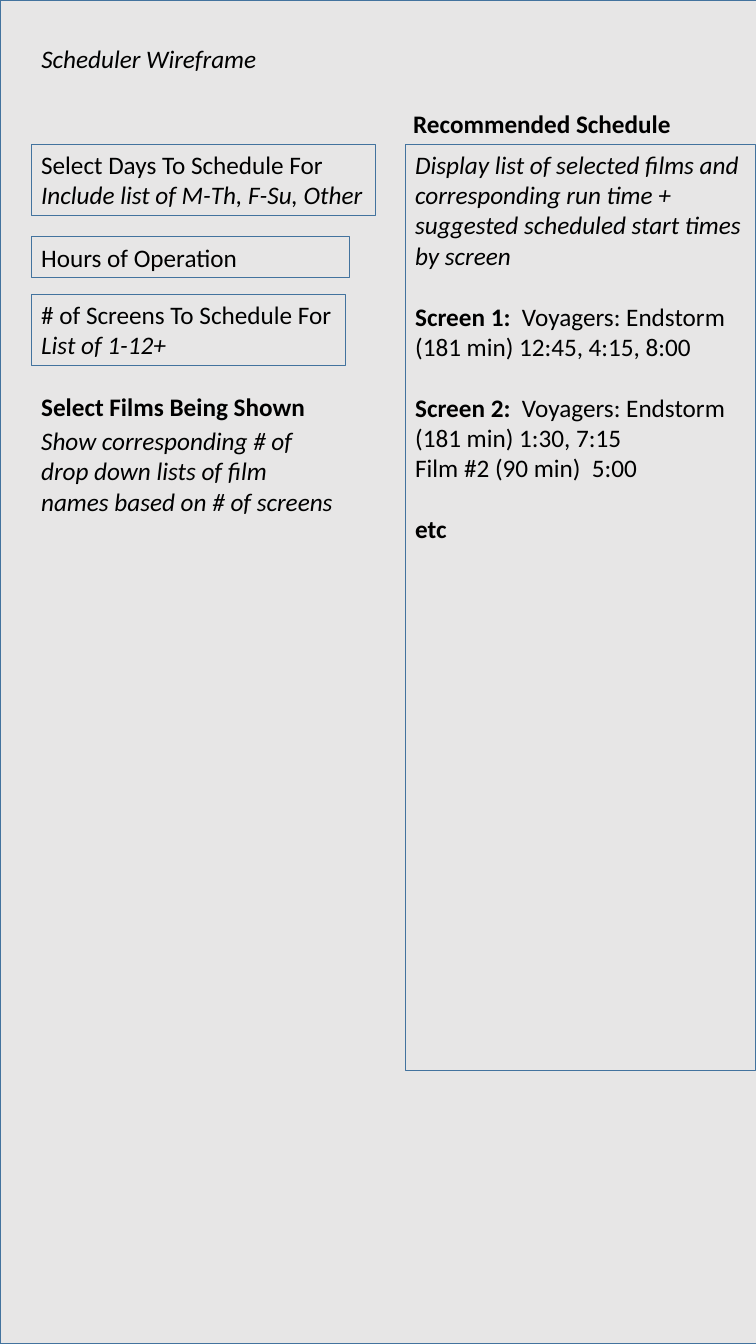
from dataclasses import dataclass

import pptx
import pptx.dml.color
import pptx.enum.shapes
import pptx.enum.text
import pptx.util

Inches = pptx.util.Inches
Pt = pptx.util.Pt

COLORS = {"backdrop": "E7E6E6", "border": "43739E", "text": "000000"}
FONT = "Calibri"
FONT_SIZE = 18
BLANK_LINE = 22
LEFT_COLUMN = 0.31
RIGHT_COLUMN = 4.02


@dataclass(frozen=True)
class Phrase:
    text: str
    bold: bool = False
    italic: bool = False


@dataclass(frozen=True)
class Line:
    phrases: tuple[Phrase, ...]
    gap_before: float = 0


@dataclass(frozen=True)
class Block:
    left: float
    top: float
    width: float
    height: float
    lines: tuple[Line, ...]
    bordered: bool = False
    wrap: bool = True


def line(text: str, bold: bool = False, italic: bool = False, gap_before: float = 0) -> Line:
    return Line((Phrase(text, bold, italic),), gap_before)


def screen_line(label: str, showings: str) -> Line:
    return Line((Phrase(label, bold=True), Phrase(showings)), BLANK_LINE)


TITLE = Block(LEFT_COLUMN, 0.38, 6.47, 0.4, (line("Scheduler Wireframe", italic=True),))

BLOCKS = (
    Block(LEFT_COLUMN, 1.43, 3.42, 0.71, (
        line("Select Days To Schedule For"),
        line("Include list of M-Th, F-Su, Other", italic=True),
    ), bordered=True, wrap=False),
    Block(LEFT_COLUMN, 2.92, 3.12, 0.71, (
        line("# of Screens To Schedule For"),
        line("List of 1-12+", italic=True),
    ), bordered=True, wrap=False),
    Block(LEFT_COLUMN, 4.17, 3.16, 1.01, (
        line("Show corresponding # of drop down lists of film names based on # of screens", italic=True),
    )),
    Block(LEFT_COLUMN, 3.83, 3.16, 0.4, (line("Select Films Being Shown", bold=True),)),
    Block(LEFT_COLUMN, 2.35, 3.16, 0.4, (line("Hours of Operation"),), bordered=True),
    Block(RIGHT_COLUMN, 1.43, 3.48, 9.19, (
        line("Display list of selected films and corresponding run time + "
             "suggested scheduled start times by screen", italic=True),
        screen_line("Screen 1:  ", "Voyagers: Endstorm (181 min) 12:45, 4:15, 8:00"),
        screen_line("Screen 2:  ", "Voyagers: Endstorm (181 min) 1:30, 7:15"),
        line("Film #2 (90 min)  5:00"),
        line("etc", bold=True, gap_before=BLANK_LINE),
    ), bordered=True),
    Block(4, 1.02, 3.08, 0.41, (line("Recommended Schedule", bold=True),)),
)


def rgb(name: str) -> pptx.dml.color.RGBColor:
    return pptx.dml.color.RGBColor.from_string(COLORS[name])


def add_rectangle(slide, left: float, top: float, width: float, height: float, line_width: float):
    rectangle = slide.shapes.add_shape(
        pptx.enum.shapes.MSO_SHAPE.RECTANGLE,
        Inches(left), Inches(top), Inches(width), Inches(height))
    rectangle.shadow.inherit = False
    rectangle.line.color.rgb = rgb("border")
    rectangle.line.width = Pt(line_width)
    return rectangle


def write_lines(frame, block: Block) -> None:
    frame.word_wrap = block.wrap
    frame.auto_size = pptx.enum.text.MSO_AUTO_SIZE.NONE
    frame.vertical_anchor = pptx.enum.text.MSO_ANCHOR.TOP
    for index, content in enumerate(block.lines):
        paragraph = frame.add_paragraph() if index else frame.paragraphs[0]
        paragraph.alignment = pptx.enum.text.PP_ALIGN.LEFT
        if content.gap_before:
            paragraph.space_before = Pt(content.gap_before)
        for phrase in content.phrases:
            run = paragraph.add_run()
            run.text = phrase.text
            run.font.name = FONT
            run.font.size = Pt(FONT_SIZE)
            run.font.bold = phrase.bold
            run.font.italic = phrase.italic
            run.font.color.rgb = rgb("text")


def add_block(slide, block: Block) -> None:
    place = (block.left, block.top, block.width, block.height)
    if block.bordered:
        shape = add_rectangle(slide, *place, line_width=0.75)
        shape.fill.background()
    else:
        shape = slide.shapes.add_textbox(*map(Inches, place))
    write_lines(shape.text_frame, block)


def place_title(slide, block: Block) -> None:
    title = slide.shapes.title
    title.left, title.top = Inches(block.left), Inches(block.top)
    title.width, title.height = Inches(block.width), Inches(block.height)
    write_lines(title.text_frame, block)


def main() -> None:
    deck = pptx.Presentation()
    deck.slide_width = Inches(7.5)
    deck.slide_height = Inches(13.33)
    slide = deck.slides.add_slide(deck.slide_layouts.get_by_name("Title Only"))
    backdrop = add_rectangle(slide, 0, 0, 7.62, 13.33, line_width=1)
    backdrop.fill.solid()
    backdrop.fill.fore_color.rgb = rgb("backdrop")
    slide.shapes.title.element.addprevious(backdrop.element)
    place_title(slide, TITLE)
    for block in BLOCKS:
        add_block(slide, block)
    deck.save("out.pptx")


if __name__ == "__main__":
    main()
